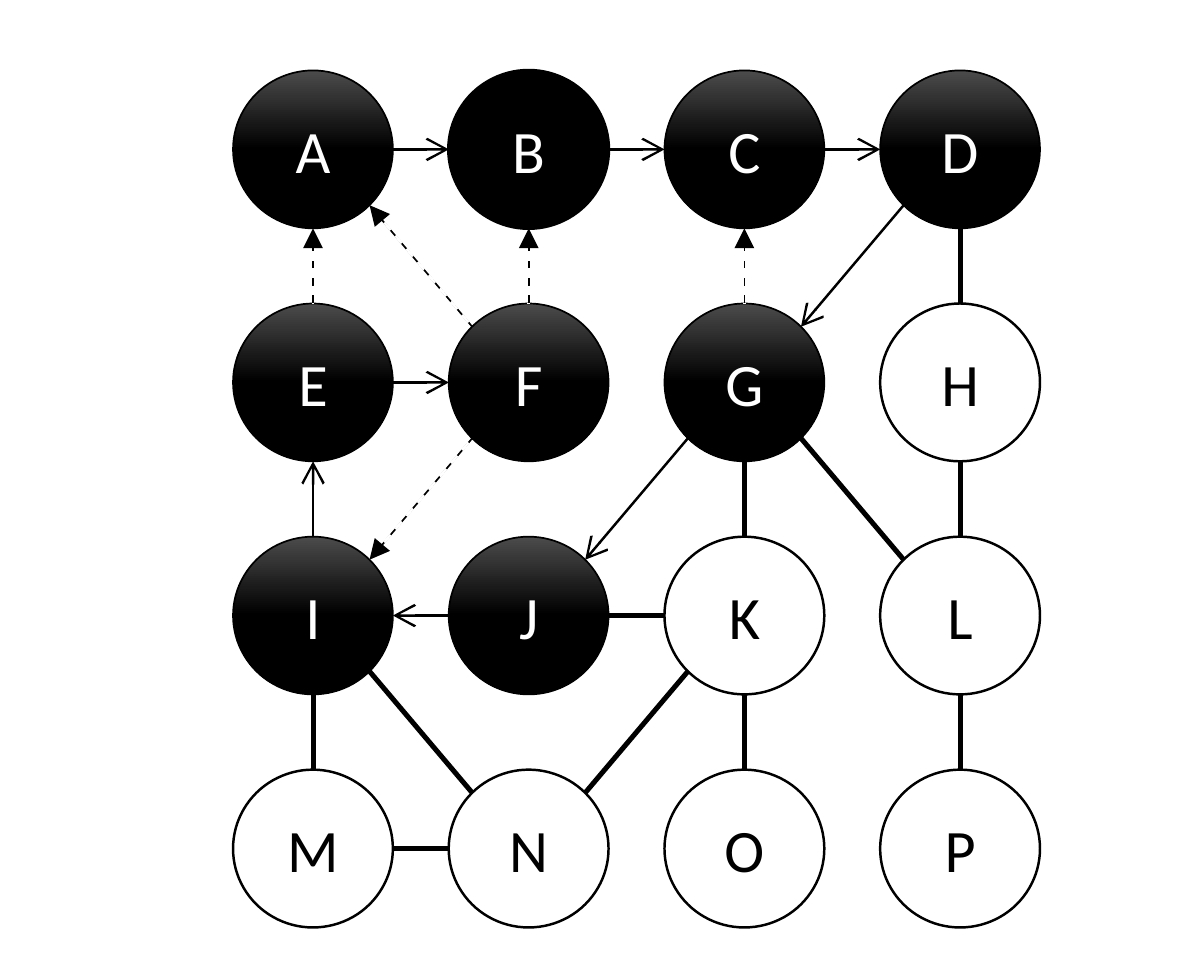
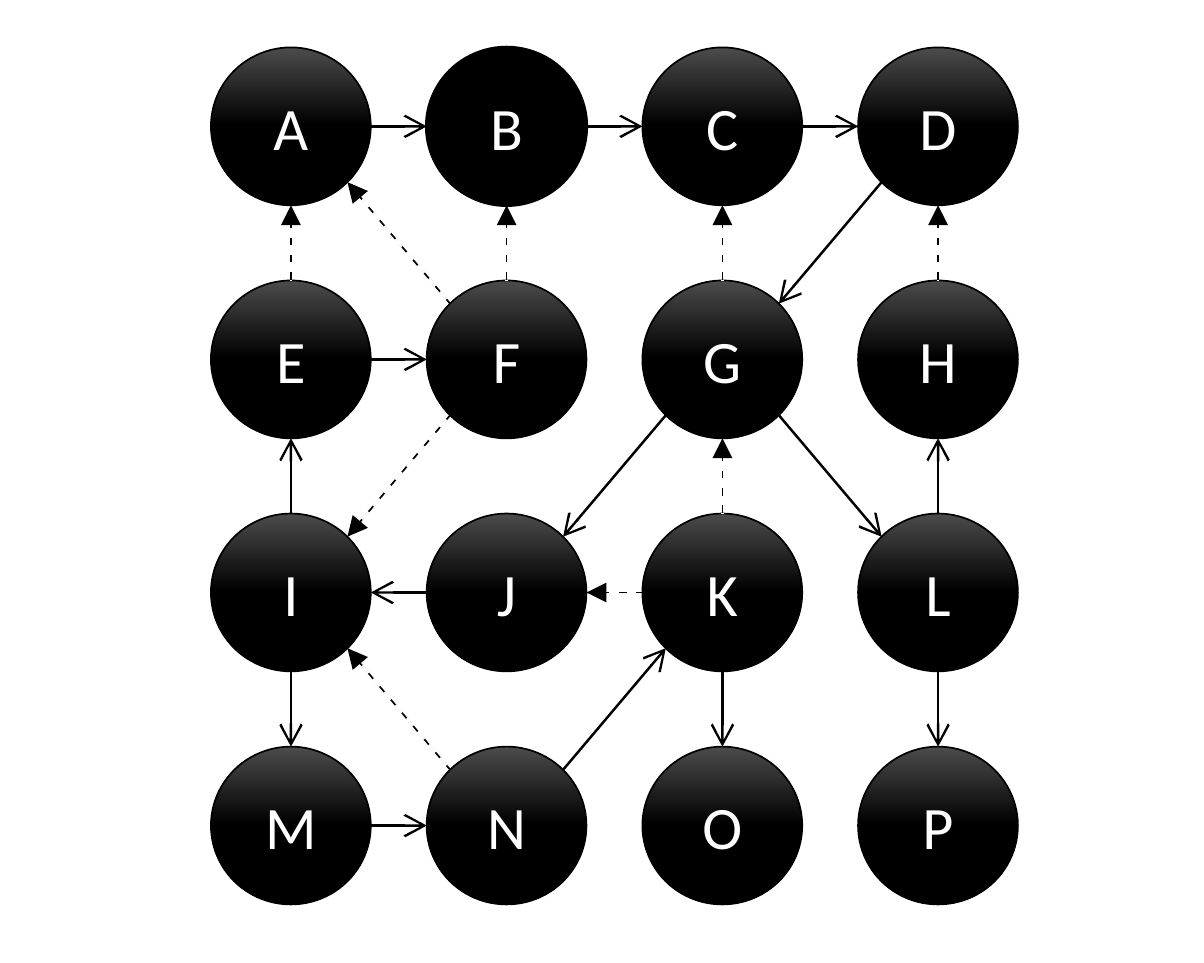
"""Two stages of a depth-first search on a four-by-four lettered graph."""
from dataclasses import dataclass
from math import hypot

from lxml.etree import SubElement
from pptx import Presentation
from pptx.dml.color import RGBColor
from pptx.enum.dml import MSO_LINE
from pptx.enum.shapes import MSO_CONNECTOR, MSO_SHAPE
from pptx.enum.text import MSO_ANCHOR, PP_ALIGN
from pptx.oxml.ns import qn
from pptx.util import Pt

BLACK, WHITE, SHEEN = "000000", "FFFFFF", "4B4B4B"
FONT, LETTER_SIZE = "Calibri", 18
LETTERS, COLUMNS, START = "ABCDEFGHIJKLMNOP", 4, "B"
NODE_W, NODE_H = 47.8, 47.2
PITCH_X, PITCH_Y = 64.5, 69.7
HEAD_LENGTH = 6.8
SITES = [(0, -1), (-1, -1), (-1, 0), (-1, 1), (0, 1), (1, 1), (1, 0), (1, -1)]

Point = tuple[float, float]


@dataclass(frozen=True)
class EdgeStyle:
    width: float
    color: str = BLACK
    head: str = ""
    dashed: bool = False


TREE = EdgeStyle(0.75, head="arrow")
BACK = EdgeStyle(0.5, head="triangle")
UNEXPLORED = EdgeStyle(1.5)
GAPS = EdgeStyle(0.75, WHITE, dashed=True)


@dataclass(frozen=True)
class Stage:
    left: float
    top: float
    tree: str
    back: str
    unexplored: str = ""


STAGES = [
    Stage(69.7, 21.1, "AB BC CD DG GJ JI IE EF", "GC FB EA FI FA",
          "DH HL LP GL GK JK KO KN IN IM MN"),
    Stage(63.1, 14.2, "AB BC CD DG GJ JI IE EF GL LH LP IM MN NK KO",
          "GC FB EA FI FA NI KJ KG HD"),
]


def rgb(color: str) -> RGBColor:
    return RGBColor.from_string(color)


def cell(letter: str) -> tuple[int, int]:
    row, column = divmod(LETTERS.index(letter), COLUMNS)
    return column, row


def corner(stage: Stage, letter: str) -> Point:
    column, row = cell(letter)
    return stage.left + column * PITCH_X, stage.top + row * PITCH_Y


def rim(stage: Stage, letter: str, toward: tuple[int, int]) -> Point:
    x, y = corner(stage, letter)
    dx, dy = toward
    reach = hypot(dx, dy)
    return (x + NODE_W / 2 * (1 + dx / reach),
            y + NODE_H / 2 * (1 + dy / reach))


def draw_node(s, stage: Stage, letter: str, visited: bool):
    x, y = corner(stage, letter)
    sp = s.shapes.add_shape(MSO_SHAPE.OVAL, Pt(x), Pt(y), Pt(NODE_W), Pt(NODE_H))
    sp.shadow.inherit = False
    sp.line.color.rgb = rgb(BLACK)
    if letter == START:
        sp.fill.solid()
        sp.fill.fore_color.rgb = rgb(BLACK)
        sp.line.width = Pt(1)
    elif visited:
        sp.fill.gradient()
        sp.fill.gradient_angle = 270
        for stop, color, place in zip(sp.fill.gradient_stops, (SHEEN, BLACK), (0, 0.5)):
            stop.color.rgb, stop.position = rgb(color), place
        sp.line.width = Pt(0.5)
    else:
        sp.fill.background()
        sp.line.width = Pt(0.75)
    tf = sp.text_frame
    tf.margin_left = tf.margin_right = tf.margin_top = tf.margin_bottom = 0
    tf.vertical_anchor = MSO_ANCHOR.MIDDLE
    p = tf.paragraphs[0]
    p.alignment = PP_ALIGN.CENTER
    r = p.add_run()
    r.text = letter
    r.font.name, r.font.size = FONT, Pt(LETTER_SIZE)
    r.font.color.rgb = rgb(WHITE if visited else BLACK)
    return sp


def draw_line(s, begin: Point, end: Point, style: EdgeStyle):
    c = s.shapes.add_connector(MSO_CONNECTOR.STRAIGHT, *map(Pt, begin + end))
    c.line.color.rgb = rgb(style.color)
    c.line.width = Pt(style.width)
    if style.dashed:
        c.line.dash_style = MSO_LINE.DASH
    props = c._element.spPr
    if style.head:
        SubElement(props.find(qn("a:ln")), qn("a:tailEnd"), type=style.head)
    SubElement(props, qn("a:effectLst"))
    return c


def glue(c, tag: str, node, site: tuple[int, int]) -> None:
    holder = c._element.find(".//" + qn("p:cNvCxnSpPr"))
    SubElement(holder, qn(tag), id=str(node.shape_id), idx=str(SITES.index(site)))


def draw_edge(s, stage: Stage, nodes: dict, edge: str, style: EdgeStyle) -> None:
    source, target = edge
    (x1, y1), (x2, y2) = cell(source), cell(target)
    ahead, behind = (x2 - x1, y2 - y1), (x1 - x2, y1 - y2)
    begin, end = rim(stage, source, ahead), rim(stage, target, behind)
    c = draw_line(s, begin, end, style)
    glue(c, "a:stCxn", nodes[source], ahead)
    glue(c, "a:endCxn", nodes[target], behind)
    if style is BACK:
        dx, dy = begin[0] - end[0], begin[1] - end[1]
        share = HEAD_LENGTH / hypot(dx, dy)
        draw_line(s, (end[0] + dx * share, end[1] + dy * share), begin, GAPS)


def draw_stage(prs, stage: Stage) -> None:
    s = prs.slides.add_slide(prs.slide_layouts[6])
    nodes = {letter: draw_node(s, stage, letter, letter in stage.tree)
             for letter in LETTERS}
    for edges, style in ((stage.tree, TREE), (stage.unexplored, UNEXPLORED),
                         (stage.back, BACK)):
        for edge in edges.split():
            draw_edge(s, stage, nodes, edge, style)


prs = Presentation()
prs.slide_width, prs.slide_height = Pt(360), Pt(288)
for stage in STAGES:
    draw_stage(prs, stage)
prs.save("out.pptx")
